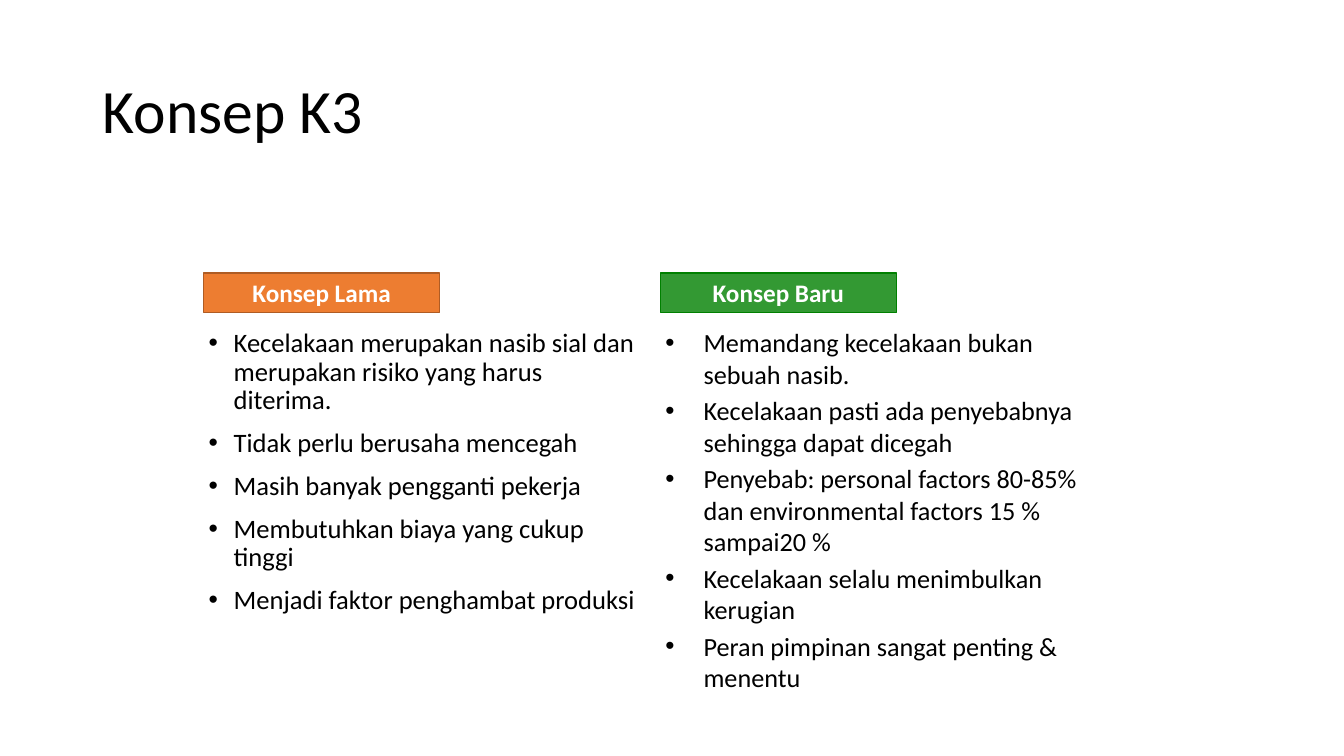
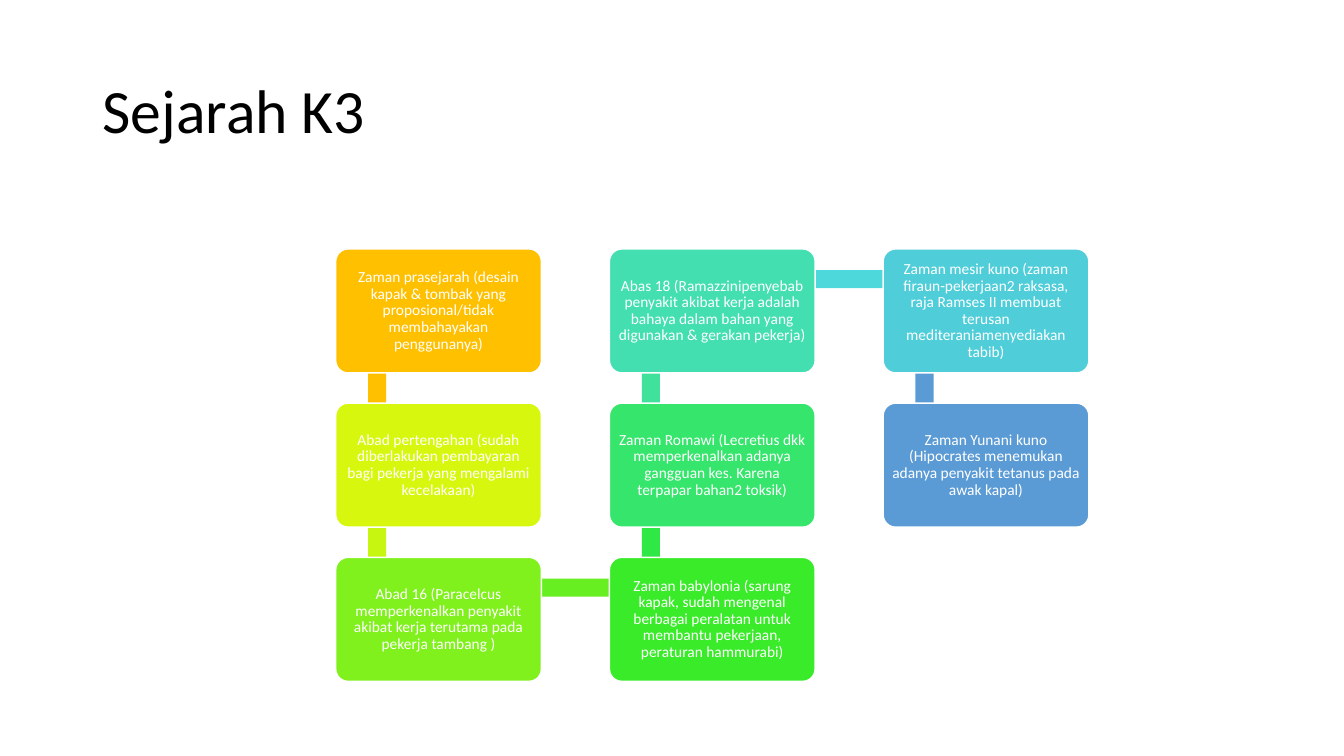
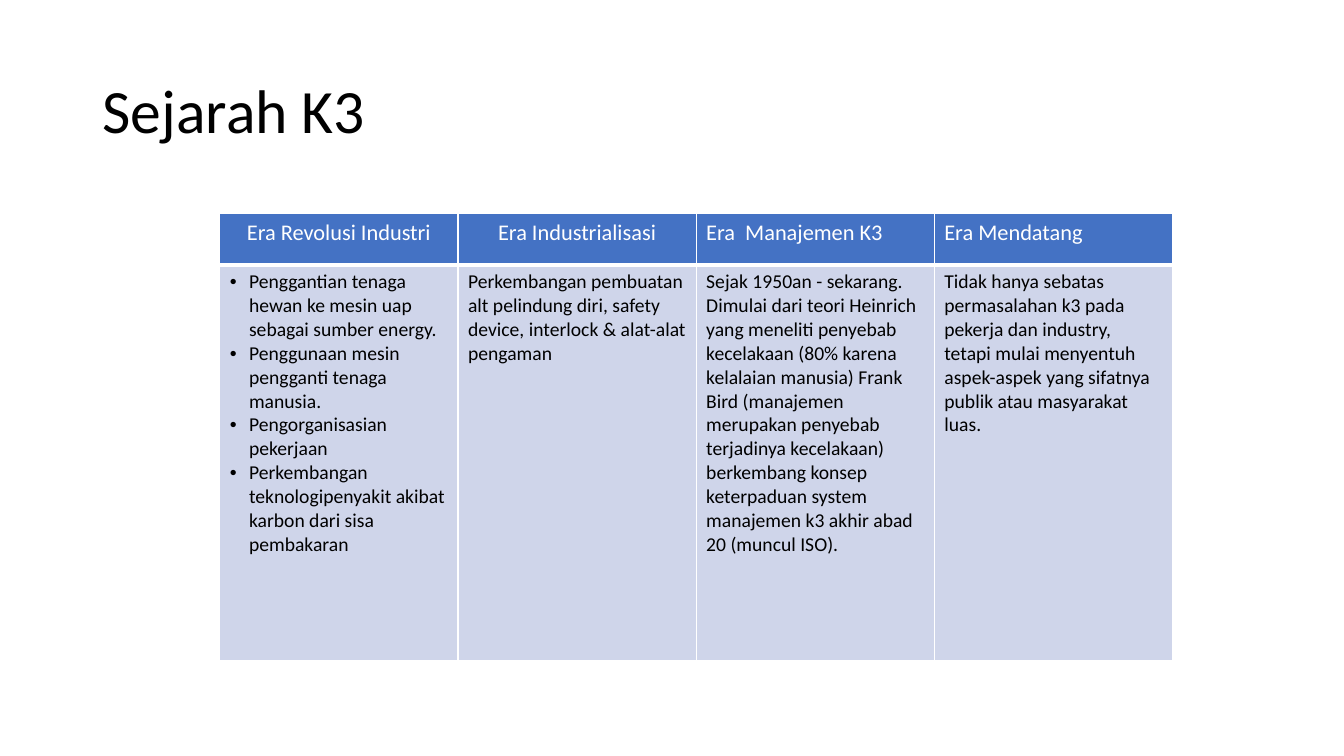
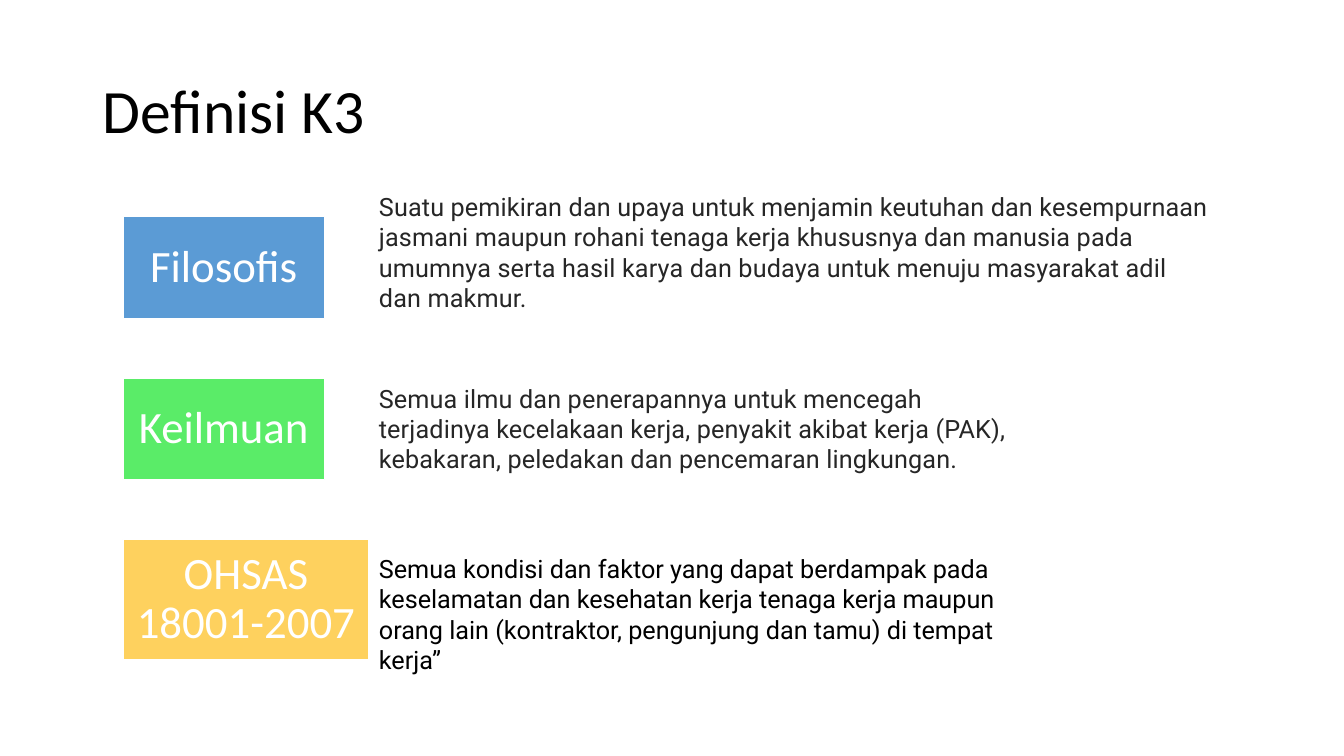
"""Build four slides on the concept, history and definition of K3."""
import pptx
import pptx.chart.data
import pptx.dml.color
import pptx.enum.shapes
import pptx.enum.text
import pptx.oxml
import pptx.oxml.ns
import pptx.util
from lxml import etree

Inches, Pt = pptx.util.Inches, pptx.util.Pt
RGBColor = pptx.dml.color.RGBColor
SHAPE = pptx.enum.shapes.MSO_SHAPE
LEFT, CENTER = pptx.enum.text.PP_ALIGN.LEFT, pptx.enum.text.PP_ALIGN.CENTER
TOP, MIDDLE = pptx.enum.text.MSO_ANCHOR.TOP, pptx.enum.text.MSO_ANCHOR.MIDDLE
qn = pptx.oxml.ns.qn

BLACK = RGBColor(0x00, 0x00, 0x00)
WHITE = RGBColor(0xFF, 0xFF, 0xFF)
CHARCOAL = RGBColor(0x26, 0x26, 0x26)
ORANGE = RGBColor(0xED, 0x7D, 0x31)
DARK_ORANGE = RGBColor(0xAF, 0x5C, 0x24)
GREEN = RGBColor(0x33, 0x99, 0x33)
DARK_GREEN = RGBColor(0x00, 0x80, 0x00)
BLUE = RGBColor(0x5B, 0x9B, 0xD5)
LIGHT_GREEN = RGBColor(0x5A, 0xEC, 0x68)
YELLOW = RGBColor(0xFE, 0xD1, 0x5E)
HEADER_BLUE = RGBColor(0x44, 0x72, 0xC4)
PALE_BLUE = RGBColor(0xCF, 0xD5, 0xEA)
ERA_COLORS = [RGBColor.from_string(c) for c in (
    "FFC000", "D7F80E", "80F11C", "39EB29", "36E56C", "43DFB0", "4FCEDA", "5B9BD5")]
LINK_COLORS = [RGBColor.from_string(c) for c in (
    "FFC000", "C7F711", "67EF21", "30E845", "3FE19B", "4DD8DB", "5B9BD5")]

CONCEPTS = [
    dict(heading="Konsep Lama", fill=ORANGE, line=DARK_ORANGE, tag_x=2.02,
         body=(1.97, 3.22, 4.5, 3.11), size=19, indent=0.25, spacing=0.9, before=10,
         points=["Kecelakaan merupakan nasib sial dan merupakan risiko yang harus diterima.",
                 "Tidak perlu berusaha mencegah",
                 "Masih banyak pengganti pekerja",
                 "Membutuhkan biaya yang cukup tinggi",
                 "Menjadi faktor penghambat produksi"]),
    dict(heading="Konsep Baru", fill=GREEN, line=DARK_GREEN, tag_x=6.55,
         body=(6.5, 3.19, 4.5, 3.75), size=18.7, indent=0.38, spacing=1.0, before=3.7,
         points=["Memandang kecelakaan bukan sebuah nasib.",
                 "Kecelakaan pasti ada penyebabnya sehingga dapat dicegah",
                 "Penyebab: personal factors 80-85% dan environmental factors 15 % sampai20 %",
                 "Kecelakaan selalu menimbulkan kerugian",
                 "Peran pimpinan sangat penting & menentu"]),
]

ERAS = [
    "Zaman prasejarah (desain kapak & tombak yang proposional/tidak membahayakan penggunanya)",
    "Abad pertengahan (sudah diberlakukan pembayaran bagi pekerja yang mengalami kecelakaan)",
    "Abad 16 (Paracelcus memperkenalkan penyakit akibat kerja terutama pada pekerja tambang )",
    "Zaman babylonia (sarung kapak, sudah mengenal berbagai peralatan untuk membantu "
    "pekerjaan, peraturan hammurabi)",
    "Zaman Romawi (Lecretius dkk memperkenalkan adanya gangguan kes. Karena terpapar "
    "bahan2 toksik)",
    "Abas 18 (Ramazzinipenyebab penyakit akibat kerja adalah bahaya dalam bahan yang "
    "digunakan & gerakan pekerja)",
    "Zaman mesir kuno (zaman firaun-pekerjaan2 raksasa, raja Ramses II membuat terusan "
    "mediteraniamenyediakan tabib)",
    "Zaman Yunani kuno (Hipocrates menemukan adanya penyakit tetanus pada awak kapal)",
]

INDUSTRY = [
    ("Era Revolusi Industri", CENTER, 0.19,
     ["Penggantian tenaga hewan ke mesin uap sebagai sumber energy.",
      "Penggunaan mesin pengganti tenaga manusia.",
      "Pengorganisasian pekerjaan",
      "Perkembangan teknologipenyakit akibat karbon dari sisa pembakaran"]),
    ("Era Industrialisasi", CENTER, 0,
     ["Perkembangan pembuatan alt pelindung diri, safety device, interlock & alat-alat "
      "pengaman"]),
    ("Era  Manajemen K3", LEFT, 0,
     ["Sejak 1950an - sekarang. Dimulai dari teori Heinrich yang meneliti penyebab "
      "kecelakaan (80% karena kelalaian manusia) Frank Bird (manajemen merupakan penyebab "
      "terjadinya kecelakaan) berkembang konsep keterpaduan system manajemen k3 akhir abad "
      "20 (muncul ISO)."]),
    ("Era Mendatang", LEFT, 0,
     ["Tidak hanya sebatas permasalahan k3 pada pekerja dan industry, tetapi mulai "
      "menyentuh aspek-aspek yang sifatnya publik atau masyarakat luas."]),
]

DEFINITIONS = [
    dict(term="Filosofis", fill=BLUE, tag=(2, 1.01), box=(3.66, 1.85, 8.45, 1.31),
         color=CHARCOAL, tracking=10,
         text="Suatu pemikiran dan upaya untuk menjamin keutuhan dan kesempurnaan jasmani "
              "maupun rohani tenaga kerja khususnya dan manusia pada umumnya serta hasil "
              "karya dan budaya untuk menuju masyarakat adil dan makmur."),
    dict(term="Keilmuan", fill=LIGHT_GREEN, tag=(2, 1.01), box=(3.66, 3.75, 6.67, 1.01),
         color=CHARCOAL, tracking=10,
         text="Semua ilmu dan penerapannya untuk mencegah terjadinya kecelakaan kerja, "
              "penyakit akibat kerja (PAK), kebakaran, peledakan dan pencemaran lingkungan."),
    dict(term="OHSAS 18001-2007", fill=YELLOW, tag=(2.44, 1.19), box=(3.66, 5.44, 6.67, 1.31),
         color=BLACK, tracking=0,
         text="Semua kondisi dan faktor yang dapat berdampak pada keselamatan dan kesehatan "
              "kerja tenaga kerja maupun orang lain (kontraktor, pengunjung dan tamu) di "
              "tempat kerja”"),
]


def write(tf, texts, size, color, font="Calibri", bold=False, align=LEFT, spacing=1.0,
          before=0, indent=0, tracking=0):
    """Fill a text frame with evenly styled paragraphs."""
    for i, text in enumerate(texts):
        p = tf.paragraphs[0] if i == 0 else tf.add_paragraph()
        if indent:
            pPr = p._p.get_or_add_pPr()
            pPr.set("marL", str(Inches(indent)))
            pPr.set("indent", str(-Inches(indent)))
            etree.SubElement(pPr, qn("a:buFont")).set("typeface", "Arial")
            etree.SubElement(pPr, qn("a:buChar")).set("char", "•")
        layout = dict(alignment=align, line_spacing=spacing,
                      space_before=Pt(before if i else 0))
        for name, value in layout.items():
            setattr(p, name, value)
        r = p.add_run()
        r.text = text
        for name, value in dict(name=font, size=Pt(size), bold=bold).items():
            setattr(r.font, name, value)
        r.font.color.rgb = color
        if tracking:
            r._r.get_or_add_rPr().set("spc", str(tracking))


def frame(tf, anchor, margin=None):
    """Set wrapping, anchor and, if given, equal margins."""
    tf.word_wrap = True
    tf.vertical_anchor = anchor
    if margin is not None:
        for side in ("left", "top", "right", "bottom"):
            setattr(tf, "margin_" + side, Inches(margin))


def add_text(s, box, texts, size, color, anchor=TOP, **style):
    """Add a wrapping text box."""
    tf = s.shapes.add_textbox(*map(Inches, box)).text_frame
    frame(tf, anchor)
    write(tf, texts, size, color, **style)


def add_block(s, kind, box, fill, line=None):
    """Add a filled shape with an optional one-point outline."""
    sp = s.shapes.add_shape(kind, *map(Inches, box))
    sp.shadow.inherit = False
    sp.fill.solid()
    sp.fill.fore_color.rgb = fill
    if line is None:
        sp.line.fill.background()
    else:
        sp.line.color.rgb = line
        sp.line.width = Pt(1)
    return sp


def add_label(s, kind, box, fill, line, text, size, margin=None, **style):
    """Add a shape with centred white text."""
    sp = add_block(s, kind, box, fill, line)
    frame(sp.text_frame, MIDDLE, margin)
    write(sp.text_frame, [text], size, WHITE, align=CENTER, **style)
    return sp


def add_slide(prs, title):
    """Add a blank slide with the shared title."""
    s = prs.slides.add_slide(prs.slide_layouts[6])
    add_text(s, (0.92, 0.4, 11.5, 1.45), [title], 44, BLACK, anchor=MIDDLE, spacing=0.9)
    return s


def concept_slide(prs):
    """Compare the old and new concepts."""
    s = add_slide(prs, "Konsep K3")
    for c in CONCEPTS:
        add_text(s, c["body"], c["points"], c["size"], BLACK, spacing=c["spacing"],
                 before=c["before"], indent=c["indent"])
        add_label(s, SHAPE.RECTANGLE, (c["tag_x"], 2.71, 2.34, 0.39), c["fill"], c["line"],
                  c["heading"], 18, bold=True)


def timeline_slide(prs):
    """Lay the eras along a winding path, down one column and up the next."""
    s = add_slide(prs, "Sejarah K3")
    rows, width, height, bar = 3, 2.04, 1.23, 0.18
    step_x, step_y = 2.715, 1.53
    spots = []
    for i in range(len(ERAS)):
        col, row = divmod(i, rows)
        row = rows - 1 - row if col % 2 else row
        spots.append((3.33 + col * step_x, 2.47 + row * step_y))
    for i, (x, y) in enumerate(spots):
        if i < len(LINK_COLORS):
            next_x, next_y = spots[i + 1]
            if next_x > x:
                link = (x + 0.42, y + 0.21, step_x, bar)
            else:
                link = (x + 0.32, min(y, next_y) + 0.44, bar, step_y)
            add_block(s, SHAPE.RECTANGLE, link, LINK_COLORS[i])
        sp = add_label(s, SHAPE.ROUNDED_RECTANGLE, (x, y, width, height), ERA_COLORS[i],
                       WHITE, ERAS[i], 11, margin=0.05, spacing=0.9)
        sp.adjustments[0] = 0.1


def set_borders(cell, bottom):
    """Draw white cell borders, with the bottom one of the given width."""
    tcPr = cell._tc.get_or_add_tcPr()
    for i, (side, width) in enumerate((("L", 1), ("R", 1), ("T", 1), ("B", bottom))):
        ln = etree.Element(qn("a:ln" + side), w=str(Pt(width)))
        fill = etree.SubElement(ln, qn("a:solidFill"))
        etree.SubElement(fill, qn("a:srgbClr")).set("val", str(WHITE))
        tcPr.insert(i, ln)


def industry_slide(prs):
    """Tabulate the industrial eras."""
    s = add_slide(prs, "Sejarah K3")
    box = map(Inches, (2.18, 2.12, 9.45, 4.43))
    table = s.shapes.add_table(2, len(INDUSTRY), *box).table
    for row, height in zip(table.rows, (0.51, 3.92)):
        row.height = Inches(height)
    for col, (heading, align, indent, texts) in enumerate(INDUSTRY):
        head, body = table.cell(0, col), table.cell(1, col)
        write(head.text_frame, [heading], 16, WHITE, align=align)
        write(body.text_frame, texts, 14, BLACK, indent=indent)
        for cell, fill, bottom in ((head, HEADER_BLUE, 3), (body, PALE_BLUE, 1)):
            cell.fill.solid()
            cell.fill.fore_color.rgb = fill
            set_borders(cell, bottom)


def definition_slide(prs):
    """Pair each term with its definition."""
    s = add_slide(prs, "Definisi K3")
    for i, d in enumerate(DEFINITIONS):
        add_label(s, SHAPE.RECTANGLE, (1.22, 2.15 + i * 1.6, *d["tag"]), d["fill"], WHITE,
                  d["term"], 32, margin=0.13, spacing=0.9)
        add_text(s, d["box"], [d["text"]], 18, d["color"], font="Roboto",
                 tracking=d["tracking"])


def main():
    """Build and save the presentation."""
    prs = pptx.Presentation()
    prs.slide_width, prs.slide_height = Inches(13.33), Inches(7.5)
    for build in (concept_slide, timeline_slide, industry_slide, definition_slide):
        build(prs)
    prs.save("out.pptx")


if __name__ == "__main__":
    main()
